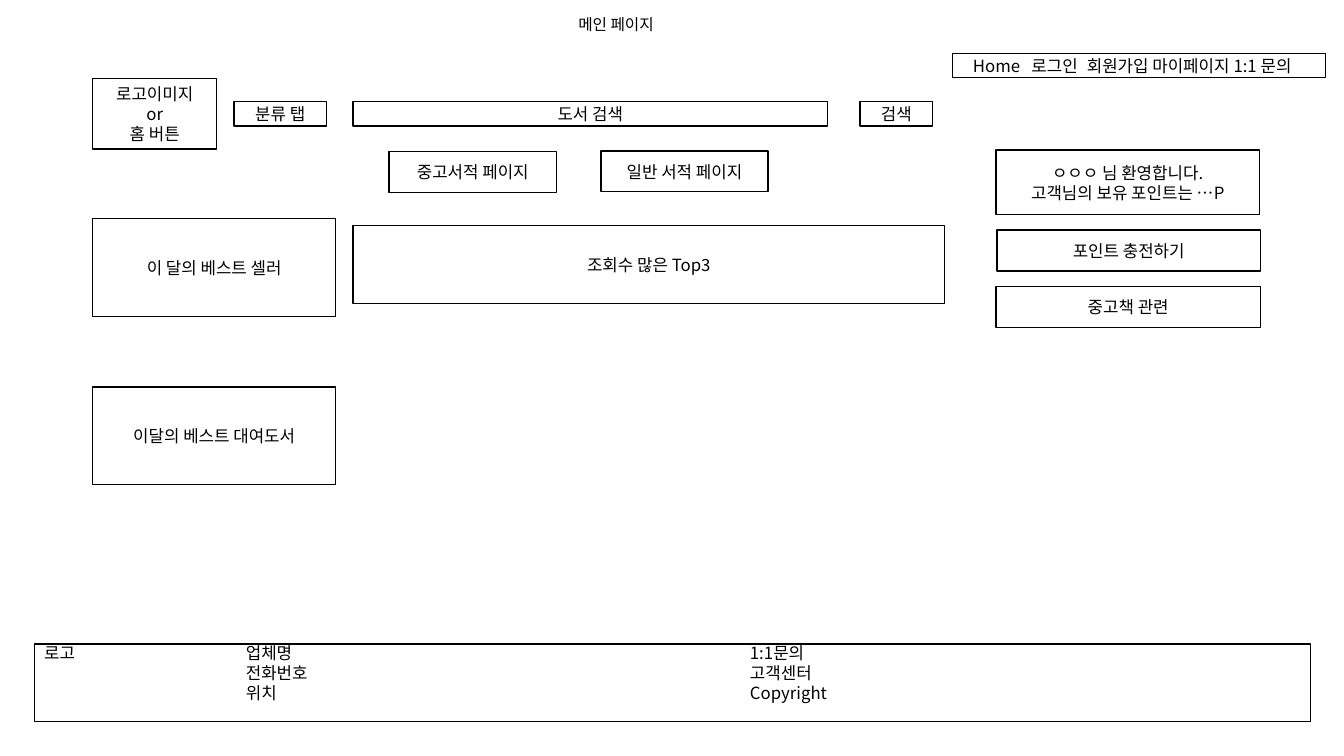
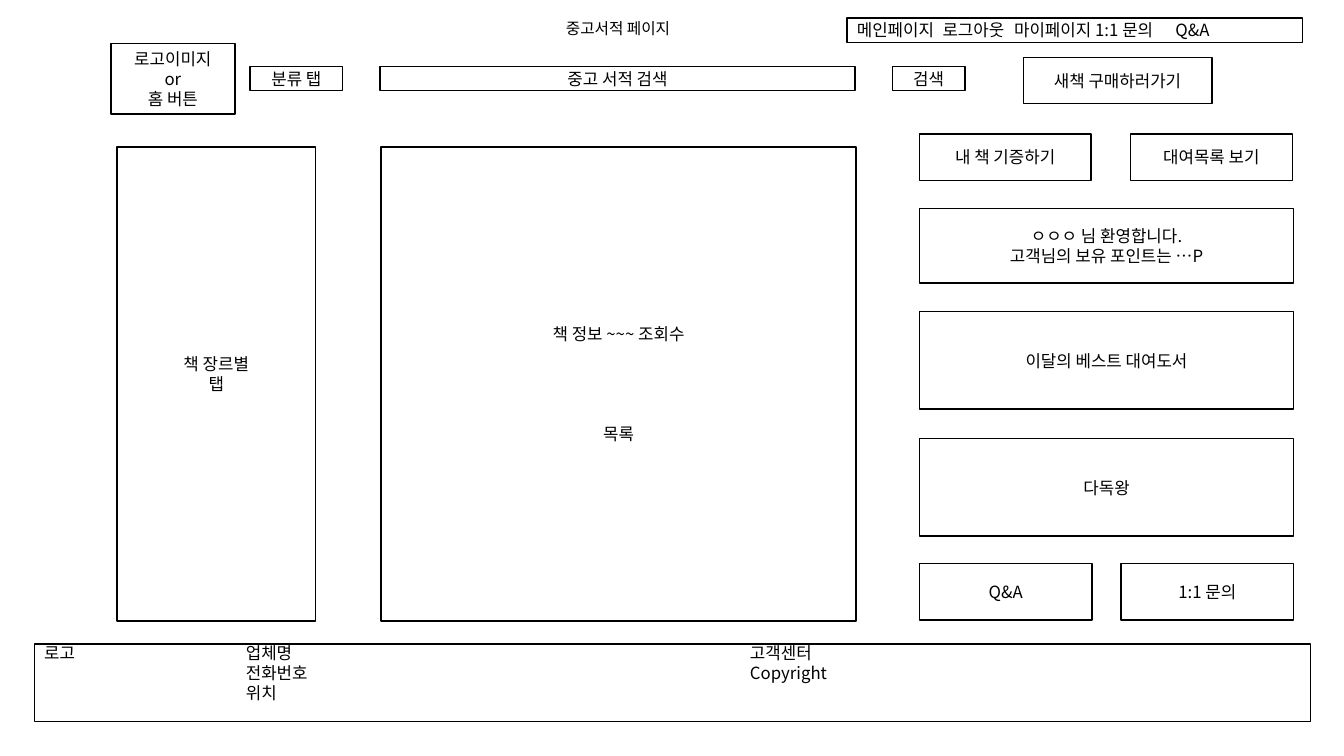
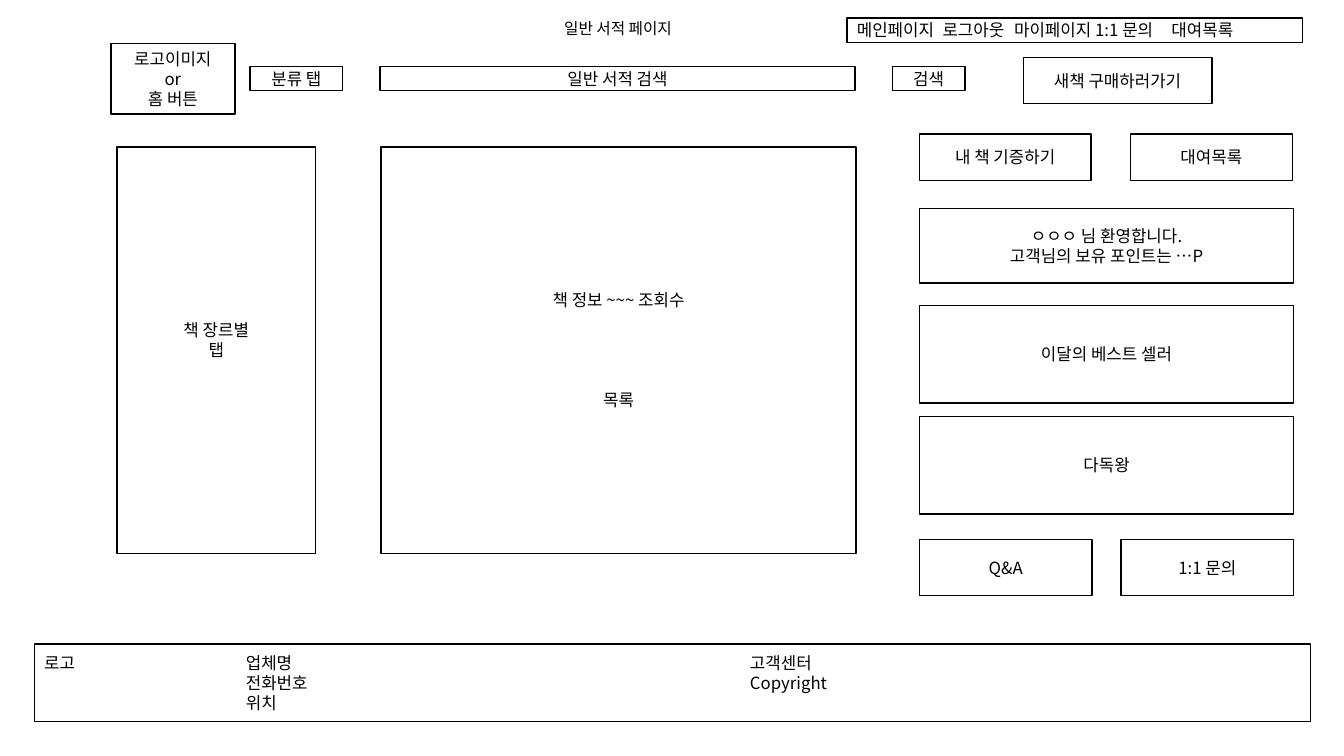
"""Build three wireframe pages of an online bookshop."""
import dataclasses
import typing

import pptx
import pptx.dml.color
import pptx.enum.shapes
import pptx.enum.text
import pptx.oxml.ns
import pptx.presentation
import pptx.slide
import pptx.text.text
import pptx.util
from lxml import etree

ALIGN = pptx.enum.text.PP_ALIGN
ANCHOR = pptx.enum.text.MSO_ANCHOR


@dataclasses.dataclass(frozen=True)
class Theme:
    """Colours, type and line sizes of the deck."""
    font: str = "Noto Sans CJK KR"
    ink: pptx.dml.color.RGBColor = pptx.dml.color.RGBColor(0, 0, 0)
    paper: pptx.dml.color.RGBColor = pptx.dml.color.RGBColor(255, 255, 255)
    title_size: float = 11.2
    text_size: float = 12
    border: float = 1


class Area(typing.NamedTuple):
    """A place on a grid whose square cells make 75 rows per slide."""
    column: float
    row: float
    columns: float
    rows: float


@dataclasses.dataclass(frozen=True)
class Box:
    """A bordered box with one paragraph per line of text."""
    area: Area
    lines: tuple[str, ...]
    align: ALIGN = ALIGN.CENTER
    stops: tuple[float, ...] = ()
    indent: float = 0.1
    bottom: float = 0.05
    gap: float = 0


@dataclasses.dataclass(frozen=True)
class BookPage:
    """What differs between the two book list pages."""
    title: str
    menu: str
    last_stop: float
    search: str
    rental: str
    list_rows: float
    best: str
    best_row: float
    reader_row: float
    contact_row: float
    footer_bottom: float


THEME = Theme()
ROWS = 75
CELL = pptx.util.Inches(7.5) // ROWS
BLANK_LINE = 0.25
WELCOME = ("ㅇㅇㅇ 님 환영합니다.", "고객님의 보유 포인트는 …P")
BEST_RENTAL = "이달의 베스트 대여도서"
BOOK_FOOTER = ("로고\t업체명\t고객센터", "\t전화번호\tCopyright", "\t위치")

BOOK_PAGES = (
    BookPage("중고서적 페이지", "메인페이지\t로그아웃\t마이페이지 1:1 문의\tQ&A", 3.16,
             "중고 서적 검색", "대여목록 보기", 47, BEST_RENTAL, 30.9, 43.5, 55.9, BLANK_LINE),
    BookPage("일반 서적 페이지", "메인페이지\t로그아웃\t마이페이지 1:1 문의\t대여목록", 3.12,
             "일반 서적 검색", "대여목록", 40.3, "이달의 베스트 셀러", 30.3, 41.3, 53.5, 0.05),
)


def place(shape: typing.Any, area: Area) -> None:
    """Move a shape to an area of the grid."""
    shape.left, shape.top, shape.width, shape.height = (round(n * CELL) for n in area)


def add_span(para: pptx.text.text._Paragraph, text: str, size: float) -> None:
    """Add a run in the deck's type."""
    span = para.add_run()
    span.text = text
    span.font.name = THEME.font
    span.font.size = pptx.util.Pt(size)
    span.font.color.rgb = THEME.ink
    east = etree.SubElement(span.font._element, pptx.oxml.ns.qn("a:ea"))
    east.set("typeface", THEME.font)


def add_stops(para: pptx.text.text._Paragraph, stops: tuple[float, ...]) -> None:
    """Set left tab stops, in inches, on a paragraph."""
    tabs = etree.SubElement(para._p.get_or_add_pPr(), pptx.oxml.ns.qn("a:tabLst"))
    for stop in stops:
        tab = etree.SubElement(tabs, pptx.oxml.ns.qn("a:tab"))
        tab.set("pos", str(pptx.util.Inches(stop)))
        tab.set("algn", "l")


def add_box(page: pptx.slide.Slide, box: Box) -> None:
    """Draw a bordered box and its text."""
    shape = page.shapes.add_shape(pptx.enum.shapes.MSO_SHAPE.RECTANGLE, 0, 0, 0, 0)
    place(shape, box.area)
    shape.shadow.inherit = False
    shape.fill.solid()
    shape.fill.fore_color.rgb = THEME.paper
    shape.line.color.rgb = THEME.ink
    shape.line.width = pptx.util.Pt(THEME.border)
    frame = shape.text_frame
    frame.word_wrap = True
    frame.vertical_anchor = ANCHOR.MIDDLE
    frame.margin_left = pptx.util.Inches(box.indent)
    frame.margin_bottom = pptx.util.Inches(box.bottom)
    for index, line in enumerate(box.lines):
        para = frame.add_paragraph() if index else frame.paragraphs[0]
        para.alignment = box.align
        if index and box.gap:
            para.space_before = pptx.util.Pt(box.gap)
        if box.stops:
            add_stops(para, box.stops)
        add_span(para, line, THEME.text_size)


def add_page(deck: pptx.presentation.Presentation, title: str, column: float, row: float) -> pptx.slide.Slide:
    """Add a page with its small centred title."""
    page = deck.slides.add_slide(deck.slide_layouts[5])
    holder = page.shapes.title
    place(holder, Area(column, row, 32.4, 2.4))
    frame = holder.text_frame
    frame.vertical_anchor = ANCHOR.TOP
    frame.auto_size = pptx.enum.text.MSO_AUTO_SIZE.NONE
    para = frame.paragraphs[0]
    para.alignment = ALIGN.CENTER
    para.line_spacing = 0.7
    para.space_before = pptx.util.Pt(10)
    add_span(para, title, THEME.title_size)
    return page


def header(lefts: tuple[float, float, float, float], row: float, search: str) -> list[Box]:
    """Give the logo, category, search field and search button."""
    logo, category, field, button = lefts
    return [
        Box(Area(logo, row - 2.3, 12.3, 7), ("로고이미지", "or", "홈 버튼")),
        Box(Area(category, row, 9.2, 2.4), ("분류 탭",)),
        Box(Area(field, row, 47.1, 2.4), (search,)),
        Box(Area(button, row, 7.2, 2.4), ("검색",)),
    ]


def footer(lines: tuple[str, ...], bottom: float) -> Box:
    """Give the company band in three tabbed columns."""
    return Box(Area(3.4, 63.9, 126.6, 7.7), lines, ALIGN.LEFT, (2, 7), bottom=bottom)


def main_boxes() -> list[Box]:
    """Give the boxes of the main page."""
    menu = "Home\t로그인\t회원가입 마이페이지 1:1 문의"
    lines = ("로고\t업체명\t1:1문의", "\t전화번호\t고객센터", "\t위치\tCopyright")
    return [
        Box(Area(94.5, 5.3, 37, 2.4), (menu,), ALIGN.LEFT, (0.58, 1.13), 0.2),
        *header((9.2, 23.2, 35, 85.3), 10.1, "도서 검색"),
        Box(Area(38.6, 15, 16.6, 4.1), ("중고서적 페이지",)),
        Box(Area(59.6, 15, 16.6, 4), ("일반 서적 페이지",)),
        Box(Area(9.2, 21.7, 24.1, 9.7), ("이 달의 베스트 셀러",)),
        Box(Area(9.2, 38.4, 24.1, 9.7), (BEST_RENTAL,)),
        Box(Area(35, 22.4, 58.7, 7.7), ("조회수 많은 Top3",)),
        Box(Area(98.8, 14.9, 26.1, 6.4), WELCOME),
        Box(Area(98.9, 22.8, 26.1, 4.1), ("포인트 충전하기",)),
        Box(Area(98.8, 28.4, 26.2, 4.1), ("중고책 관련",)),
        footer(lines, BLANK_LINE),
    ]


def book_boxes(book: BookPage) -> list[Box]:
    """Give the boxes of a book list page."""
    side, side_columns = 91.2, 37.1
    return [
        Box(Area(84, 1.8, 45.2, 2.4), (book.menu,), ALIGN.LEFT, (0.85, 1.56, book.last_stop)),
        *header((11, 24.8, 37.7, 88.5), 6.6, book.search),
        Box(Area(101.5, 5.7, 18.7, 4.6), ("새책 구매하러가기",)),
        Box(Area(11.6, 14.6, 19.7, book.list_rows), ("책 장르별", "탭"), bottom=BLANK_LINE),
        Box(Area(37.8, 14.6, 47.1, book.list_rows), ("책 정보 ~~~ 조회수", "목록"), gap=57),
        Box(Area(side, 13.3, 17, 4.6), ("내 책 기증하기",)),
        Box(Area(112.1, 13.3, 16.1, 4.6), (book.rental,)),
        Box(Area(side, 20.7, side_columns, 7.4), WELCOME),
        Box(Area(side, book.best_row, side_columns, 9.7), (book.best,)),
        Box(Area(side, book.reader_row, side_columns, 9.7), ("다독왕",)),
        Box(Area(side, book.contact_row, 17.1, 5.6), ("Q&A",)),
        Box(Area(111.2, book.contact_row, 17.1, 5.6), ("1:1 문의",)),
        footer(BOOK_FOOTER, book.footer_bottom),
    ]


def main() -> None:
    """Build and save the deck."""
    deck = pptx.Presentation()
    deck.slide_width = pptx.util.Inches(13.33)
    deck.slide_height = CELL * ROWS
    page = add_page(deck, "메인 페이지", 44.9, 1.5)
    for box in main_boxes():
        add_box(page, box)
    for book in BOOK_PAGES:
        page = add_page(deck, book.title, 45.1, 1.9)
        for box in book_boxes(book):
            add_box(page, box)
    deck.save("out.pptx")


if __name__ == "__main__":
    main()
